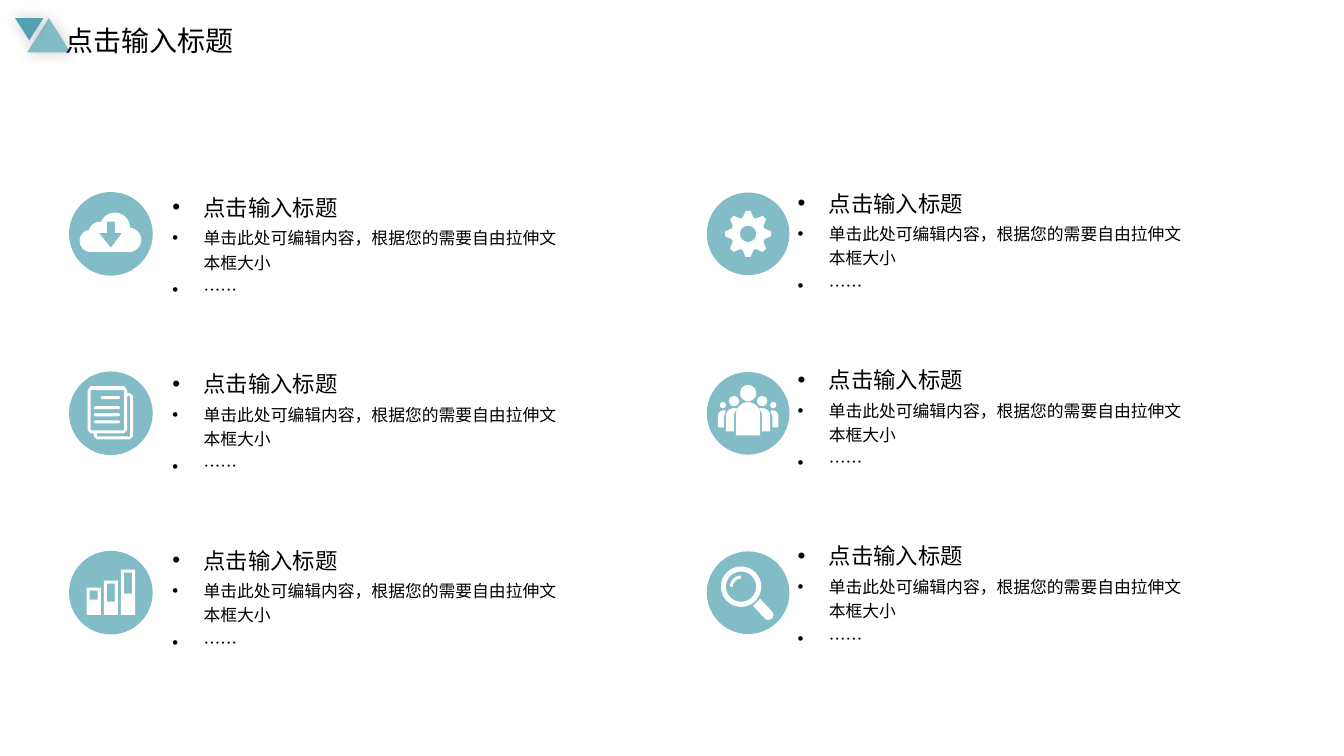
"""Build a slide of six icon topics in two columns and three rows."""
import math

from lxml import etree
from pptx import Presentation
from pptx import util as u
from pptx.dml.color import RGBColor
from pptx.enum import shapes, text
from pptx.oxml.ns import qn

FONT = "Noto Sans CJK SC"
TEAL, DEEP_TEAL, WHITE, BLACK = "82BCC7", "52A2B2", "FFFFFF", "000000"
HEADING = "点击输入标题"
TOPIC = [(HEADING, 16), ("单击此处可编辑内容，根据您的需要自由拉伸文本框大小", 12), ("……", 12)]
ROW_PITCH, TEXT_PITCH = 1.78, 1.75


def color(hex_code):
    """Turn a hex string into a colour."""
    return RGBColor.from_string(hex_code)


def paint(shape, hex_code):
    """Give a shape a flat fill without line or shadow."""
    shape.fill.solid()
    shape.fill.fore_color.rgb = color(hex_code)
    shape.line.fill.background()
    shape.shadow.inherit = False
    return shape


def preset(slide, kind, left, top, width, height, hex_code):
    """Add a painted preset shape."""
    box = map(u.Inches, (left, top, width, height))
    return paint(slide.shapes.add_shape(kind, *box), hex_code)


def glow(shape):
    """Add a soft grey shadow around a shape."""
    effects = shape._element.spPr.find(qn("a:effectLst"))
    shadow = etree.SubElement(effects, qn("a:outerShdw"), blurRad=str(u.Pt(10)),
                              dist="0", dir="0", algn="ctr", rotWithShape="0")
    tint = etree.SubElement(shadow, qn("a:srgbClr"), val="808080")
    etree.SubElement(tint, qn("a:alpha"), val="40000")


def style(paragraph, size):
    """Format the runs of a paragraph."""
    for run in paragraph.runs:
        run.font.size = u.Pt(size)
        run.font.name = FONT
        run.font.color.rgb = color(BLACK)
        etree.SubElement(run._r.get_or_add_rPr(), qn("a:ea"), typeface=FONT)


def bullet(paragraph):
    """Give a paragraph a hanging round bullet."""
    props = paragraph._p.get_or_add_pPr()
    props.set("marL", str(u.Inches(0.31)))
    props.set("indent", str(-u.Inches(0.31)))
    etree.SubElement(props, qn("a:buFont"), typeface="Arial")
    etree.SubElement(props, qn("a:buChar"), char="•")


def arc(x, y, radius, start=0, end=360):
    """Return points along an arc, with degrees running clockwise from the right."""
    steps = max(6, int(abs(end - start) / 8))
    angles = [math.radians(start + (end - start) * i / steps) for i in range(steps + 1)]
    return [(x + radius * math.cos(a), y + radius * math.sin(a)) for a in angles]


def rect(left, top, right, bottom):
    """Return the corners of a rectangle."""
    return [(left, top), (right, top), (right, bottom), (left, bottom)]


def outline(slide, center, *contours):
    """Draw white closed contours around a centre; inner ones become holes."""
    placed = [[(u.Inches(center[0] + x), u.Inches(center[1] + y)) for x, y in contour]
              for contour in contours]
    builder = slide.shapes.build_freeform(*placed[0][0])
    for index, contour in enumerate(placed):
        if index:
            builder.move_to(*contour[0])
        builder.add_line_segments(contour[1:], close=True)
    paint(builder.convert_to_shape(), WHITE)


def cloud(slide, center):
    """Draw a cloud with a download arrow."""
    puffs = (arc(-0.2, 0.07, 0.11, 90, 254) + arc(-0.11, -0.01, 0.11, 195, 280)
             + arc(0.04, -0.06, 0.15, 208, 360) + arc(0.18, 0.06, 0.12, 270, 450))
    arrow = [(0, 0.14), (-0.12, -0.01), (-0.04, -0.01), (-0.04, -0.12),
             (0.04, -0.12), (0.04, -0.01), (0.11, -0.01)]
    outline(slide, center, puffs, arrow)


def document(slide, center):
    """Draw two stacked pages with text lines."""
    pages = [(0.19, -0.2), (0.16, -0.2), (0.16, -0.23), (0.13, -0.27), (-0.2, -0.27),
             (-0.23, -0.23), (-0.23, 0.17), (-0.2, 0.2), (-0.17, 0.2), (-0.17, 0.23),
             (-0.14, 0.26), (0.19, 0.26), (0.22, 0.23), (0.22, -0.17)]
    back = [(0.19, 0.23), (-0.14, 0.23), (-0.14, 0.2), (0.13, 0.2), (0.16, 0.17),
            (0.16, -0.17), (0.19, -0.17)]
    outline(slide, center, pages, rect(-0.2, -0.23, 0.13, 0.17), back)
    for left, top in ((-0.1, -0.17), (-0.17, -0.07), (-0.17, 0), (-0.17, 0.07)):
        line = preset(slide, shapes.MSO_SHAPE.ROUNDED_RECTANGLE, center[0] + left,
                      center[1] + top, 0.09 - left, 0.03, WHITE)
        line.adjustments[0] = 0.5


def bars(slide, center):
    """Draw three rising bars with windows."""
    for index, (top, sill) in enumerate(((-0.05, 0.07), (-0.12, 0.09), (-0.23, 0.01))):
        left = -0.24 + 0.17 * index
        outline(slide, center, rect(left, top, left + 0.14, 0.22),
                rect(left + 0.03, top + 0.03, left + 0.11, sill))


def gear(slide, center):
    """Draw a gear with eight teeth."""
    teeth = [arc(0, 0, radius, 45 * tooth + angle, 45 * tooth + angle)[0]
             for tooth in range(8)
             for angle, radius in ((-18, 0.17), (-6, 0.23), (6, 0.23), (18, 0.17))]
    outline(slide, center, teeth, arc(0, 0, 0.08))


def people(slide, center):
    """Draw a group of five people."""
    figures = [arc(0, -0.2, 0.08), [(-0.12, 0.22)] + arc(0, 0.01, 0.12, 180, 360) + [(0.12, 0.22)]]
    inner = [(0.14, 0.18), (0.14, 0.01), (0.11, -0.05)] + arc(0.14, 0.03, 0.08, 270, 360) + [(0.22, 0.18)]
    outer = [(0.24, 0.14), (0.24, 0.03), (0.22, -0.02)] + arc(0.24, 0.03, 0.06, 270, 360) + [(0.3, 0.14)]
    for side in (-1, 1):
        for part in (arc(0.14, -0.12, 0.05), inner, arc(0.25, -0.08, 0.03), outer):
            figures.append([(side * x, y) for x, y in part])
    outline(slide, center, *figures)


def magnifier(slide, center):
    """Draw a magnifying glass with a glint."""
    handle = [(0.12, 0.06), (0.05, 0.13)] + arc(0.2, 0.22, 0.05, 135, -45)
    outline(slide, center, handle)
    outline(slide, center, arc(-0.07, -0.06, 0.2), arc(-0.07, -0.06, 0.15))
    outline(slide, center, arc(-0.07, -0.06, 0.11, 180, 270) + arc(-0.07, -0.06, 0.08, 270, 180))


def topic(slide, left, top):
    """Add a bulleted heading with its details."""
    box = slide.shapes.add_textbox(*map(u.Inches, (left, top, 3.85, 1.13)))
    frame = box.text_frame
    frame.margin_left = frame.margin_right = frame.margin_top = frame.margin_bottom = 0
    frame.text = "\n".join(words for words, _ in TOPIC)
    frame.word_wrap = True
    frame.auto_size = text.MSO_AUTO_SIZE.SHAPE_TO_FIT_TEXT
    for index, (paragraph, (_, size)) in enumerate(zip(frame.paragraphs, TOPIC)):
        bullet(paragraph)
        paragraph.line_spacing = 1.2
        if index:
            paragraph.space_before = u.Pt(size * 0.2)
        style(paragraph, size)


def header(slide):
    """Add the two triangles and the slide title."""
    triangle = shapes.MSO_SHAPE.ISOSCELES_TRIANGLE
    glow(preset(slide, triangle, 0.27, 0.18, 0.43, 0.34, TEAL))
    flipped = preset(slide, triangle, 0.15, 0.18, 0.28, 0.22, DEEP_TEAL)
    flipped.rotation = 180
    glow(flipped)
    title = slide.shapes.title
    title.left, title.top, title.width, title.height = map(u.Inches, (0.55, 0.18, 2.03, 0.44))
    frame = title.text_frame
    frame.text = HEADING
    frame.vertical_anchor = text.MSO_ANCHOR.TOP
    frame.auto_size = text.MSO_AUTO_SIZE.SHAPE_TO_FIT_TEXT
    frame.paragraphs[0].alignment = text.PP_ALIGN.JUSTIFY
    frame.paragraphs[0].line_spacing = 1.0
    style(frame.paragraphs[0], 20)
    slide.shapes._spTree.append(title._element)


def main():
    """Build and save the slide."""
    deck = Presentation()
    deck.slide_width, deck.slide_height = u.Inches(13.33), u.Inches(7.5)
    slide = deck.slides.add_slide(deck.slide_layouts[5])
    header(slide)
    columns = ((1.1, 0.83, 1.71, 1.87, (cloud, document, bars)),
               (7.42, 0.82, 7.91, 1.83, (gear, people, magnifier)))
    for middle, diameter, text_left, text_top, icons in columns:
        for row, icon in enumerate(icons):
            center = (middle, 2.32 + ROW_PITCH * row)
            preset(slide, shapes.MSO_SHAPE.OVAL, middle - diameter / 2,
                   center[1] - diameter / 2, diameter, diameter, TEAL)
            icon(slide, center)
            topic(slide, text_left, text_top + TEXT_PITCH * row)
    deck.save("out.pptx")


if __name__ == "__main__":
    main()
